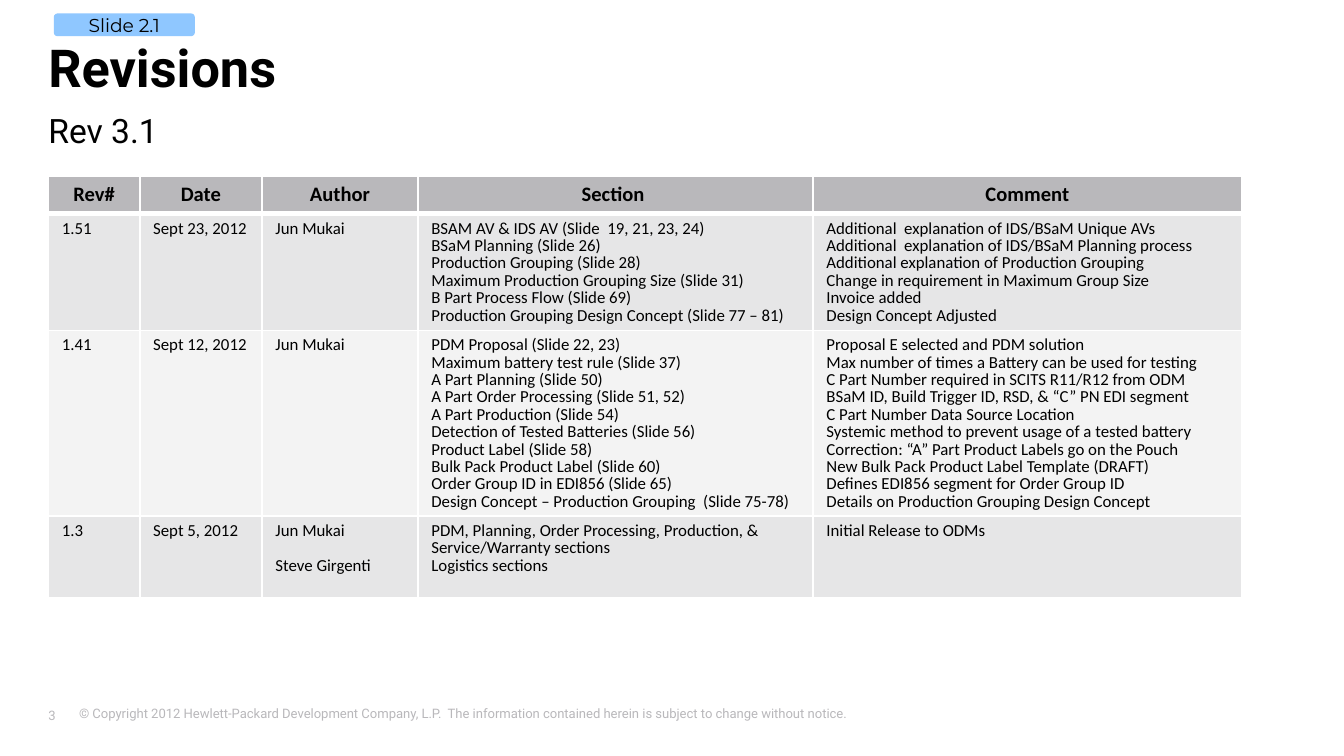
from lxml.etree import SubElement
from pptx import Presentation
from pptx.dml.color import RGBColor
from pptx.enum.shapes import MSO_SHAPE
from pptx.enum.text import MSO_ANCHOR, PP_ALIGN
from pptx.oxml.ns import qn
from pptx.util import Inches, Pt

HUES = {"ink": "000000", "gray": "B9B8BB", "odd": "E6E6E7", "even": "F3F3F3",
        "line": "FFFFFF", "tag": "3399FF"}


def style(para, hue, **form):
    """Set the colour and font attributes of a paragraph."""
    for name, value in form.items():
        setattr(para.font, name, value)
    para.font.color.rgb = RGBColor.from_string(HUES[hue])


def edge(cell, side, width):
    """Draw one border of a table cell."""
    line = SubElement(cell._tc.get_or_add_tcPr(), qn(f"a:ln{side}"), w=str(Pt(width)))
    fill = SubElement(line, qn("a:solidFill"))
    SubElement(fill, qn("a:srgbClr"), val=HUES["line"])


# A 16:9 slide
deck = Presentation()
deck.slide_width = Inches(10)
deck.slide_height = Inches(10 * 9 / 16)
slide = deck.slides.add_slide(deck.slide_layouts[6])

# Title, subtitle and footer
title = {"size": Pt(28), "bold": True}
sub = {"size": Pt(18)}
foot = {"size": Pt(7)}
notice = ("© Copyright 2012 Hewlett-Packard Development Company, L.P.  The information "
          "contained herein is subject to change without notice.")
texts = [
    (notice, (0.49, 5.2, 8.76, 0.25), 0.1, 0.05, "gray", foot),
    ("3", (0.36, 5.24, 0.35, 0.16), 0, 0.05, "gray", foot),
    ("Rev 3.1", (0.36, 0.82, 8.88, 0.3), 0, 0, "ink", sub),
    ("Revisions", (0.36, 0.26, 8.88, 0.47), 0, 0, "ink", title),
]
for text, place, left, pad, hue, form in texts:
    frame = slide.shapes.add_textbox(*map(Inches, place)).text_frame
    page = text == "3"
    layout = {"margin_left": Inches(left), "margin_right": Inches(left),
              "margin_top": Inches(pad), "margin_bottom": Inches(pad),
              "word_wrap": not page,
              "vertical_anchor": MSO_ANCHOR.MIDDLE if page else MSO_ANCHOR.TOP}
    for name, value in layout.items():
        setattr(frame, name, value)
    frame.text = text
    style(frame.paragraphs[0], hue, name="Roboto", **form)

# Revision table: one list of lines per cell
heads = ["Rev#", "Date", "Author", "Section ", "Comment"]
rows = [
    [[head] for head in heads],
    [["1.51"], ["Sept 23, 2012"], ["Jun Mukai"],
     ["BSAM AV & IDS AV (Slide  19, 21, 23, 24)",
      "BSaM Planning (Slide 26)",
      "Production Grouping (Slide 28)",
      "Maximum Production Grouping Size (Slide 31)",
      "B Part Process Flow (Slide 69)",
      "Production Grouping Design Concept (Slide 77 – 81)"],
     ["Additional  explanation of IDS/BSaM Unique AVs",
      "Additional  explanation of IDS/BSaM Planning process",
      "Additional explanation of Production Grouping",
      "Change in requirement in Maximum Group Size",
      "Invoice added",
      "Design Concept Adjusted"]],
    [["1.41"], ["Sept 12, 2012"], ["Jun Mukai"],
     ["PDM Proposal (Slide 22, 23)",
      "Maximum battery test rule (Slide 37)",
      "A Part Planning (Slide 50)",
      "A Part Order Processing (Slide 51, 52)",
      "A Part Production (Slide 54)",
      "Detection of Tested Batteries (Slide 56)",
      "Product Label (Slide 58)",
      "Bulk Pack Product Label (Slide 60)",
      "Order Group ID in EDI856 (Slide 65)",
      "Design Concept – Production Grouping  (Slide 75-78)"],
     ["Proposal E selected and PDM solution",
      "Max number of times a Battery can be used for testing",
      "C Part Number required in SCITS R11/R12 from ODM",
      "BSaM ID, Build Trigger ID, RSD, & “C” PN EDI segment",
      "C Part Number Data Source Location",
      "Systemic method to prevent usage of a tested battery",
      "Correction: “A” Part Product Labels go on the Pouch",
      "New Bulk Pack Product Label Template (DRAFT)",
      "Defines EDI856 segment for Order Group ID",
      "Details on Production Grouping Design Concept"]],
    [["1.3"], ["Sept 5, 2012"], ["Jun Mukai", "Steve Girgenti"],
     ["PDM, Planning, Order Processing, Production, & Service/Warranty sections",
      "Logistics sections"],
     ["Initial Release to ODMs"]],
]
widths = [0.68, 0.91, 1.16, 2.94, 3.19]
heights = [0.28, 0.86, 1.38, 0.61]
place = map(Inches, (0.36, 1.31, sum(widths), sum(heights)))
table = slide.shapes.add_table(len(rows), len(heads), *place).table
for col, width in zip(table.columns, widths):
    col.width = Inches(width)
for r, (cells, height) in enumerate(zip(rows, heights)):
    table.rows[r].height = Inches(height)
    top = r == 0
    hue = "gray" if top else "odd" if r % 2 else "even"
    for c, lines in enumerate(cells):
        cell = table.cell(r, c)
        for side, width in zip("LRTB", (1, 1, 3 if r == 1 else 1, 3 if top else 1)):
            edge(cell, side, width)
        cell.fill.solid()
        cell.fill.fore_color.rgb = RGBColor.from_string(HUES[hue])
        cell.vertical_anchor = MSO_ANCHOR.MIDDLE if top else MSO_ANCHOR.TOP
        cell.text = "\n".join(lines)
        for para in cell.text_frame.paragraphs:
            para.line_spacing = 0.85
            para.alignment = PP_ALIGN.CENTER if top else PP_ALIGN.LEFT
            style(para, "ink", name="Calibri", size=Pt(11 if top else 9), bold=top)
# The second author stands one line lower, beside the last section
table.cell(3, 2).text_frame.paragraphs[1].space_before = Pt(9.3)

# Slide tag
tag = slide.shapes.add_shape(MSO_SHAPE.ROUNDED_RECTANGLE,
                             *map(Inches, (0.4, 0.1, 1.05, 0.17)))
tag.shadow.inherit = False
tag.line.fill.background()
tag.fill.solid()
tag.fill.fore_color.rgb = RGBColor.from_string(HUES["tag"])
shade = tag.fill._xPr.find(qn("a:solidFill"))[0]
SubElement(shade, qn("a:alpha"), val="55000")
tag.text_frame.text = "Slide 2.1"
tag.text_frame.vertical_anchor = MSO_ANCHOR.MIDDLE
label = tag.text_frame.paragraphs[0]
label.alignment = PP_ALIGN.CENTER
style(label, "ink", name="Montserrat", size=Pt(10))

deck.save("out.pptx")
